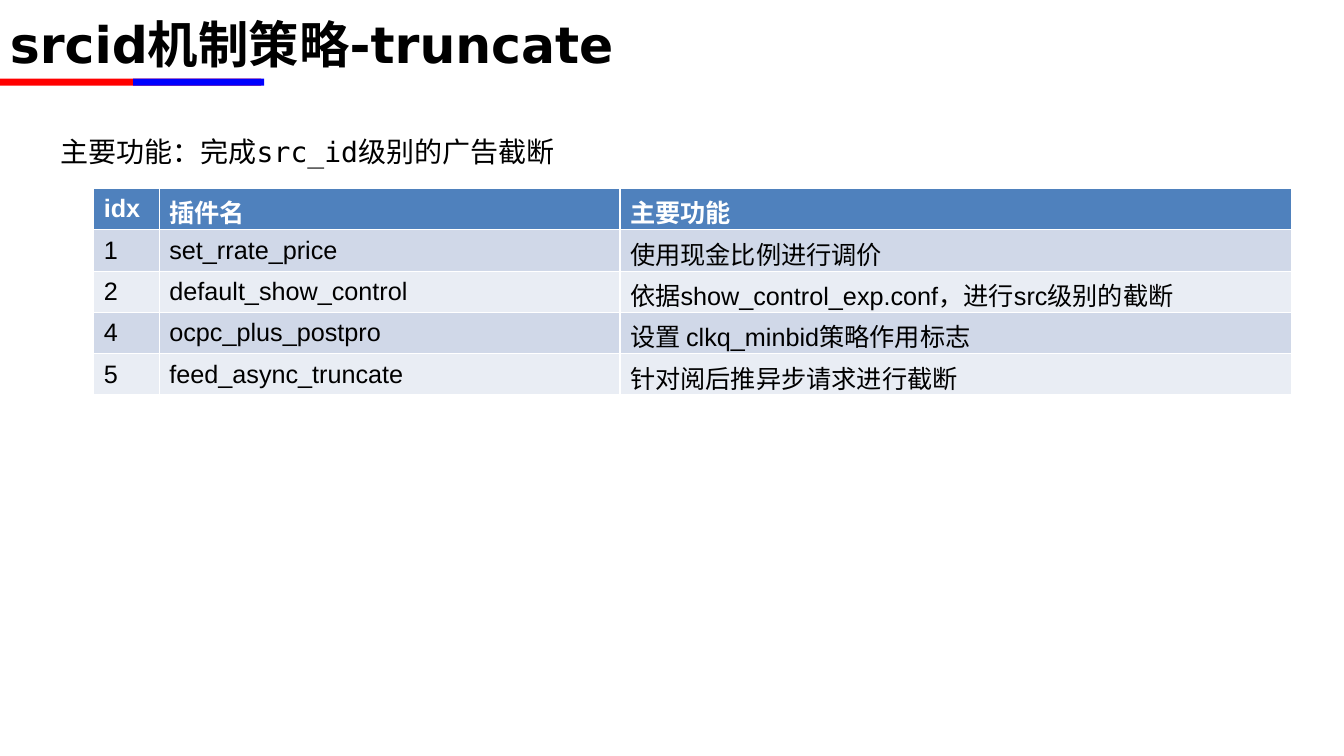
from pptx import Presentation
from pptx.dml.color import RGBColor
from pptx.enum.shapes import MSO_SHAPE
from pptx.enum.text import MSO_ANCHOR
from pptx.util import Inches, Pt

RECTANGLE = MSO_SHAPE.RECTANGLE
MIDDLE = MSO_ANCHOR.MIDDLE
TOP = MSO_ANCHOR.TOP

BLACK = RGBColor(0x00, 0x00, 0x00)
WHITE = RGBColor(0xFF, 0xFF, 0xFF)
RED = RGBColor(0xFF, 0x00, 0x00)
BLUE = RGBColor(0x00, 0x00, 0xFF)
HEADER_BLUE = RGBColor(0x4F, 0x81, 0xBD)
ROW_FILLS = (RGBColor(0xD0, 0xD8, 0xE8), RGBColor(0xE9, 0xED, 0xF4))

COLUMN_WIDTHS = (0.65, 4.57, 6.66)
ROW_HEIGHT = 0.41
PLUGINS = (
    ("idx", "插件名", "主要功能"),
    ("1", "set_rrate_price", "使用现金比例进行调价"),
    ("2", "default_show_control", "依据show_control_exp.conf，进行src级别的截断"),
    ("4", "ocpc_plus_postpro", "设置 clkq_minbid策略作用标志"),
    ("5", "feed_async_truncate", "针对阅后推异步请求进行截断"),
)


def add_run(paragraph, text, font_name, size, color=BLACK, bold=False):
    run = paragraph.add_run()
    run.text = text
    run.font.name = font_name
    run.font.size = Pt(size)
    run.font.bold = bold
    run.font.color.rgb = color


def add_text_area(slide, left, top, width, height, anchor):
    """Add a wrapping text box and return its first paragraph."""
    frame = slide.shapes.add_textbox(
        Inches(left), Inches(top), Inches(width), Inches(height)
    ).text_frame
    frame.word_wrap = True
    frame.vertical_anchor = anchor
    return frame.paragraphs[0]


def add_title_bar(slide, left, width, color):
    bar = slide.shapes.add_shape(
        RECTANGLE, Inches(left), Inches(0.78), Inches(width), Inches(0.07)
    )
    bar.shadow.inherit = False
    bar.fill.solid()
    bar.fill.fore_color.rgb = color
    bar.line.fill.background()


def add_plugin_table(slide):
    table = slide.shapes.add_table(
        len(PLUGINS), len(COLUMN_WIDTHS), Inches(0.93), Inches(1.87),
        Inches(sum(COLUMN_WIDTHS)), Inches(ROW_HEIGHT * len(PLUGINS))
    ).table
    for column, width in zip(table.columns, COLUMN_WIDTHS):
        column.width = Inches(width)
    for row_index, texts in enumerate(PLUGINS):
        is_header = row_index == 0
        fill = HEADER_BLUE if is_header else ROW_FILLS[(row_index - 1) % 2]
        color = WHITE if is_header else BLACK
        table.rows[row_index].height = Inches(ROW_HEIGHT)
        for column_index, text in enumerate(texts):
            cell = table.cell(row_index, column_index)
            cell.fill.solid()
            cell.fill.fore_color.rgb = fill
            cell.vertical_anchor = MIDDLE
            add_run(cell.text_frame.paragraphs[0], text, "Arial", 18, color, is_header)


def main():
    presentation = Presentation()
    presentation.slide_width = Inches(13.33)
    presentation.slide_height = Inches(7.5)
    slide = presentation.slides.add_slide(presentation.slide_layouts[6])

    add_title_bar(slide, 0, 2.59, RED)
    add_title_bar(slide, 1.32, 1.3, BLUE)

    title = add_text_area(slide, 0, 0, 12, 0.85, MIDDLE)
    add_run(title, "srcid机制策略-truncate", "DejaVu Sans", 36, bold=True)

    summary = add_text_area(slide, 0, 1.12, 13.33, 6.38, TOP)
    summary.line_spacing = 1.5
    summary._p.get_or_add_pPr().set("marL", str(Inches(0.5)))
    add_run(summary, "主要功能：", "Arial", 20)
    add_run(summary, "完成src_id级别的广告截断", "DejaVu Sans Mono", 20)

    add_plugin_table(slide)
    presentation.save("out.pptx")


if __name__ == "__main__":
    main()
